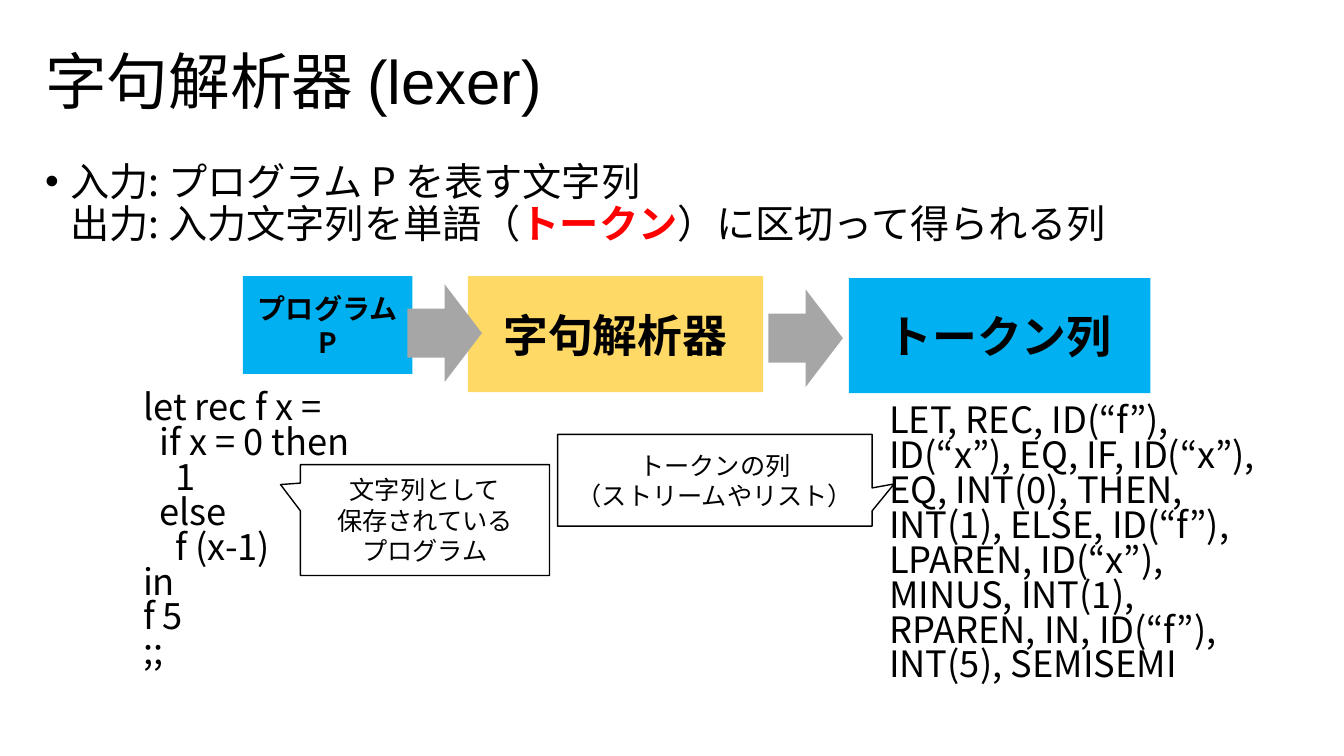
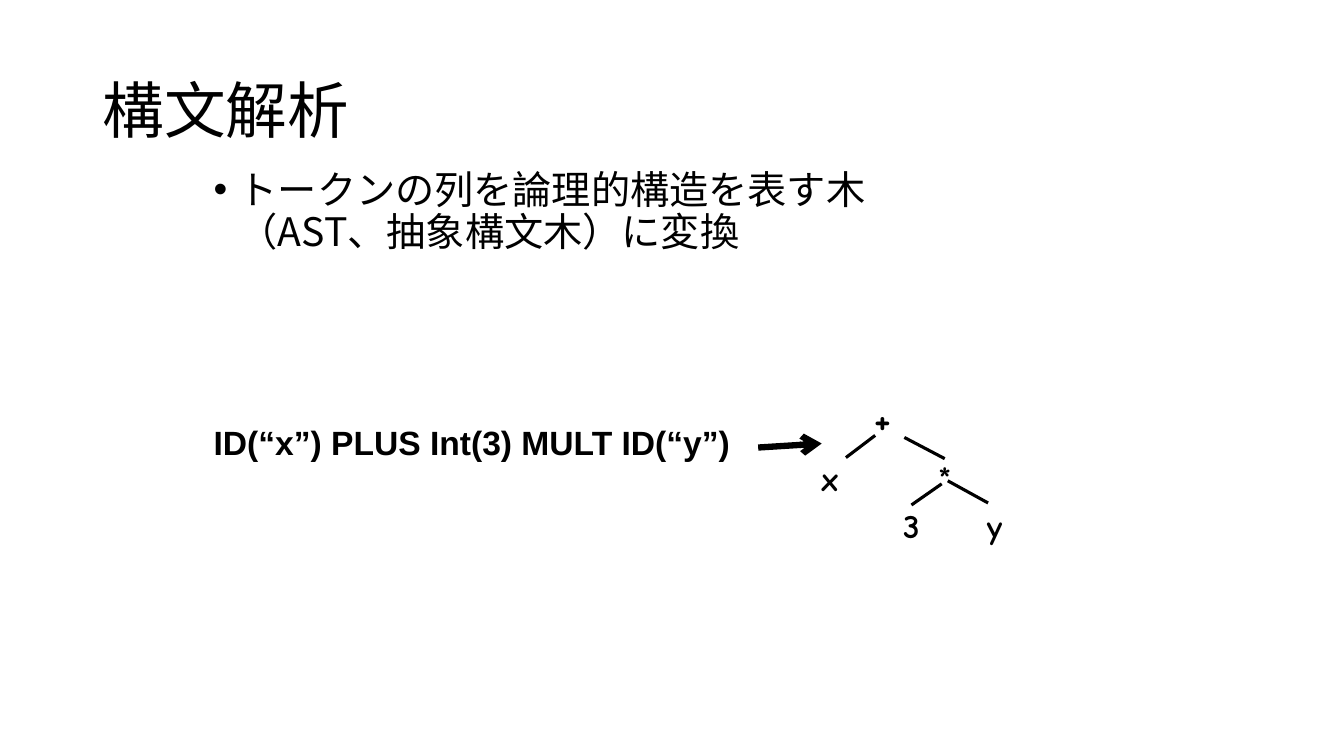
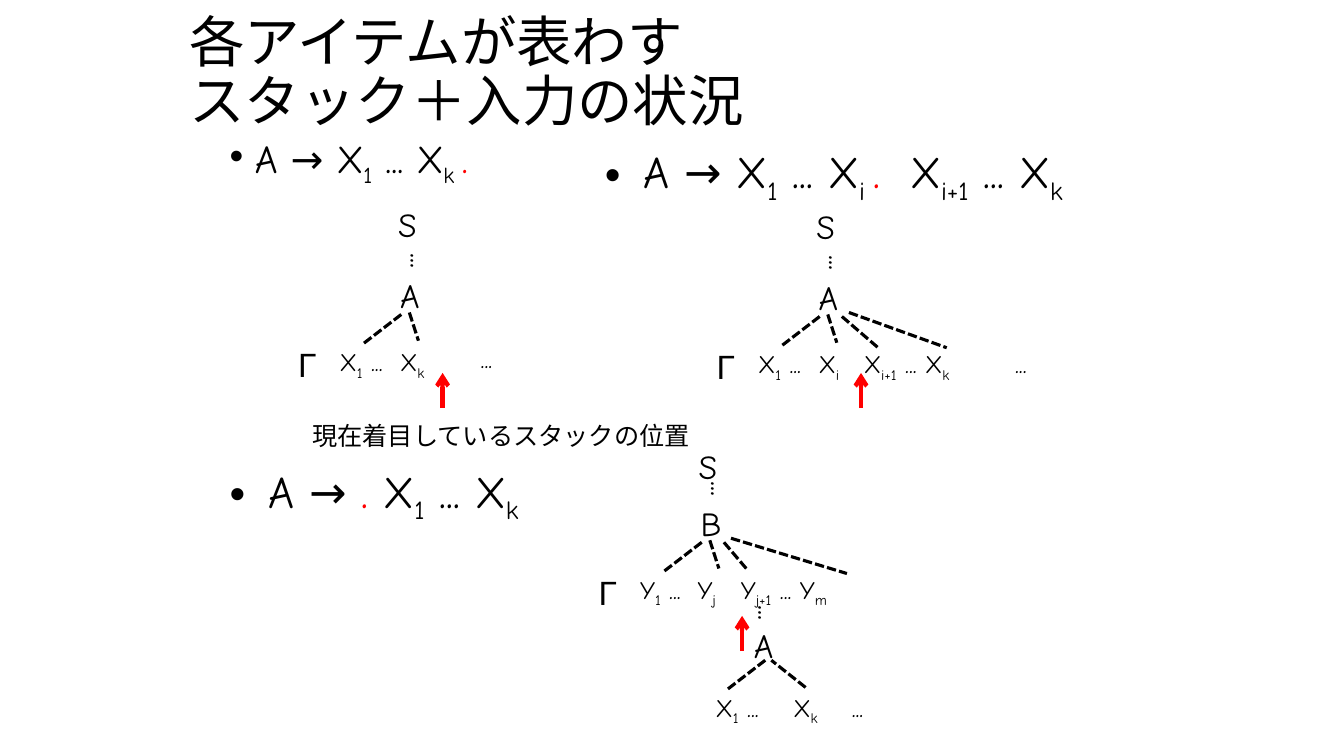
from lxml.etree import SubElement
from pptx import Presentation
from pptx.dml.color import RGBColor
from pptx.enum.dml import MSO_LINE
from pptx.enum.shapes import MSO_CONNECTOR, MSO_SHAPE
from pptx.enum.text import MSO_ANCHOR, PP_ALIGN
from pptx.oxml.ns import qn
from pptx.util import Inches, Pt

NOTO, COMIC, ARIAL = "Noto Sans CJK JP", "Comic Neue", "Arial"
BLACK, WHITE, RED = "000000", "FFFFFF", "FF0000"
BLUE, GOLD, GRAY = "00B0F0", "FFD966", "A6A6A6"
hue = RGBColor.from_string
cell = Inches(1)
TITLE = dict(pace=0.9, mid=True)
BODY = dict(size=28, pace=0.9, hang=0.25)
CODE = dict(size=25.9, pace=0.8)
ITEM = dict(size=32, face=COMIC, hang=0.38)
NODE = dict(size=24, face=COMIC)
LEAF = dict(size=18, face=COMIC)


def write(page, at, text, size=18, face=NOTO, bold=False, pace=None, hang=0,
          tabs=(), mid=False, kind=None, fill=None, edge=None):
    spot = [int(n * cell) for n in at]
    if kind is None:
        box = page.shapes.add_textbox(*spot)
    else:
        box = page.shapes.add_shape(kind, *spot)
        box.shadow.inherit = False
        box.fill.solid()
        box.fill.fore_color.rgb = hue(fill)
        if edge:
            box.line.color.rgb = hue(edge)
            box.line.width = Pt(1)
        else:
            box.line.fill.background()
    frame = box.text_frame
    frame.word_wrap = True
    frame.vertical_anchor = MSO_ANCHOR.MIDDLE if mid or kind else MSO_ANCHOR.TOP
    if not text:
        return box
    para = frame.paragraphs[0]
    para.alignment = PP_ALIGN.CENTER if kind else PP_ALIGN.LEFT
    if pace:
        para.line_spacing = pace
    props = para._p.get_or_add_pPr()
    if hang:
        props.set("marL", str(int(hang * cell)))
        props.set("indent", str(int(-hang * cell)))
        SubElement(props, qn("a:buFont"), typeface=ARIAL)
        SubElement(props, qn("a:buChar"), char="•")
    if tabs:
        stops = SubElement(props, qn("a:tabLst"))
        for tab in tabs:
            SubElement(stops, qn("a:tab"), pos=str(int(tab * cell)), algn="l")
    font = para.font
    font.size, font.bold, font.name = Pt(size), bold, face
    font.color.rgb = hue(BLACK)
    SubElement(props.find(qn("a:defRPr")), qn("a:ea"), typeface=NOTO)
    for part in text.split("|"):
        mark = part[0] if part[0] in "_!#" else ""
        for row, words in enumerate(part[len(mark):].split("\n")):
            if row:
                para.add_line_break()
            run = para.add_run()
            run.text = words
            if mark == "_":
                run._r.get_or_add_rPr().set("baseline", "-25000")
            elif mark:
                run.font.color.rgb = hue(RED)
                if mark == "#":
                    run.font.bold = True
    return box


def draw(page, x1, y1, x2, y2, width=2.25, color=BLACK, dash=False, tip=False):
    ends = [int(n * cell) for n in (x1, y1, x2, y2)]
    rod = page.shapes.add_connector(MSO_CONNECTOR.STRAIGHT, *ends)
    rod.line.width = Pt(width)
    rod.line.color.rgb = hue(color)
    if dash:
        rod.line.dash_style = MSO_LINE.SQUARE_DOT
    if tip:
        SubElement(rod.line._get_or_add_ln(), qn("a:tailEnd"), type="arrow")
    SubElement(rod._element.spPr, qn("a:effectLst"))


deck = Presentation()
deck.slide_width, deck.slide_height = Inches(13.33), Inches(7.5)
lexer, syntax, items = [deck.slides.add_slide(deck.slide_layouts[6]) for n in range(3)]

write(lexer, (0.35, 0.11, 12.71, 1.45), "字句解析器 (lexer)", 44, ARIAL, **TITLE)
for at, text, size, fill in (
    ((4.64, 2.74, 2.93, 1.15), "字句解析器", 32, GOLD),
    ((8.42, 2.76, 2.99, 1.14), "トークン列", 32, BLUE),
    ((2.41, 2.74, 1.68, 0.97), "プログラム\nP", 20, BLUE),
):
    write(lexer, at, text, size, bold=True, kind=MSO_SHAPE.RECTANGLE, fill=fill)
for x, y in (7.62, 2.87), (4.04, 2.82):
    write(lexer, (x, y, 0.74, 0.97), "", kind=MSO_SHAPE.RIGHT_ARROW, fill=GRAY)
write(lexer, (0.35, 1.56, 12.71, 1.01),
      "入力: プログラム P を表す文字列\n出力: 入力文字列を単語（|#トークン|）に区切って得られる列", **BODY)
write(lexer, (1.32, 3.85, 2.89, 3.07),
      "let rec f x =\n  if x = 0 then\n    1\n  else\n    f (x-1)\nin\nf 5\n;;", **CODE)
write(lexer, (8.72, 3.98, 3.88, 3.07),
      "LET, REC, ID(“f”), ID(“x”), EQ, IF, ID(“x”), EQ, INT(0), THEN, "
      "INT(1), ELSE, ID(“f”), LPAREN, ID(“x”), MINUS, INT(1), RPAREN, IN, "
      "ID(“f”), INT(5), SEMISEMI", **CODE)
for at, text, tail in (
    ((2.98, 4.61, 2.47, 1.1), "文字列として\n保存されている\nプログラム", (-0.58, -0.32)),
    ((5.53, 4.31, 3.12, 0.91), "トークンの列\n（ストリームやリスト）", (0.57, 0.04)),
):
    note = write(lexer, at, text, kind=MSO_SHAPE.RECTANGULAR_CALLOUT, fill=WHITE, edge=BLACK)
    note.adjustments[0], note.adjustments[1] = tail

write(syntax, (0.92, 0.4, 11.5, 1.45), "構文解析", 44, **TITLE)
write(syntax, (2.02, 1.64, 9, 4.95),
      "トークンの列を論理的構造を表す木\n（AST、抽象構文木）に変換", **BODY)
write(syntax, (2.02, 4.14, 5.5, 0.5), "ID(“x”) PLUS Int(3) MULT ID(“y”)", 24, ARIAL, True)
draw(syntax, 7.52, 4.44, 8.15, 4.4, 4.5, tip=True)
for ends in (
    (8.68, 4.32, 8.39, 4.54), (8.97, 4.34, 9.37, 4.55),
    (9.34, 4.8, 9.04, 5.01), (9.4, 4.77, 9.8, 4.99),
):
    draw(syntax, *ends)
for x, y, sign, size in (
    (8.05, 4.49, "x", 24), (8.57, 3.86, "+", 28), (9.21, 4.48, "*", 24),
    (8.86, 4.96, "3", 24), (9.69, 4.97, "y", 24),
):
    write(syntax, (x, y, 0.5, 0.5), sign, size, COMIC, True)

write(items, (1.78, 0.11, 9.76, 1.25), "各アイテムが表わす\nスタック＋入力の状況", 39.6, **TITLE)
write(items, (2.18, 1.29, 3.95, 0.6), "A → X|_1| ... X|_k |!.", 28, COMIC, pace=0.9, hang=0.25)
write(items, (5.9, 1.38, 5.43, 0.7),
      "A → X|_1| ... X|_i |!.|  X|_i+1| ... X|_k", **ITEM)
write(items, (2.18, 4.55, 3.95, 0.7), "A → |!. |X|_1| ... X|_k", **ITEM)

left, near = (0.11, 0.44, -0.28, 0.74), (0.19, 0.42, 0.28, 0.7)
trees = (
    (3.87, 2.68, "A", 0.71, "X|_1| ...\tX|_k", (0.6,), ()),
    (8.02, 2.7, "A", 0.71, "X|_1| ...\tX|_i|\tX|_i+1| ... X|_k|\t...", (0.6, 1.05, 2.55),
     ((0.4, 0.4, 1.37, 0.75), (0.33, 0.44, 0.69, 0.75))),
    (6.85, 4.94, "B", 0.57, "Y|_1| ...\tY|_j|\tY|_j+1| ... Y|_m", (0.57, 1),
     ((0.4, 0.4, 1.55, 0.75), (0.33, 0.44, 0.56, 0.71))),
)
dots = [(7.44, 5.87)]
for x, y, name, rise, row, tabs, more in trees:
    write(items, (x - 0.02, y - rise, 0.5, 0.5), "S", **NODE)
    write(items, (x, y, 0.5, 0.5), name, **NODE)
    write(items, (x - 1.01, y + 0.68, 0.5, 0.5), "Γ", 24, ARIAL)
    write(items, (x - 0.6, y + 0.71, 3.2, 0.4), row, tabs=tabs, **LEAF)
    for x1, y1, x2, y2 in (left, near) + more:
        draw(items, x + x1, y + y1, x + x2, y + y2, dash=True)
    dots.append((x + 0.12, y - 0.3))
for x, y in dots:
    write(items, (x, y, 0.43, 0.5), "...", **NODE).rotation = 90

write(items, (7.38, 6.15, 0.5, 0.5), "A", **NODE)
draw(items, 7.59, 6.55, 7.2, 6.85, dash=True)
draw(items, 7.99, 6.82, 7.65, 6.55, dash=True)
write(items, (7, 6.82, 1.4, 0.4), "X|_1| ...\tX|_k", tabs=(0.77,), **LEAF)
for x, y in (4.67, 3.36), (8.35, 6.82):
    write(items, (x, y, 0.6, 0.4), "...", **LEAF)
write(items, (3, 4.12, 4.2, 0.4), "現在着目しているスタックの位置")
for x, y in (4.39, 4.05), (8.54, 4.05), (7.36, 6.46):
    draw(items, x, y, x, y - 0.35, 3, RED, tip=True)

deck.save("out.pptx")
